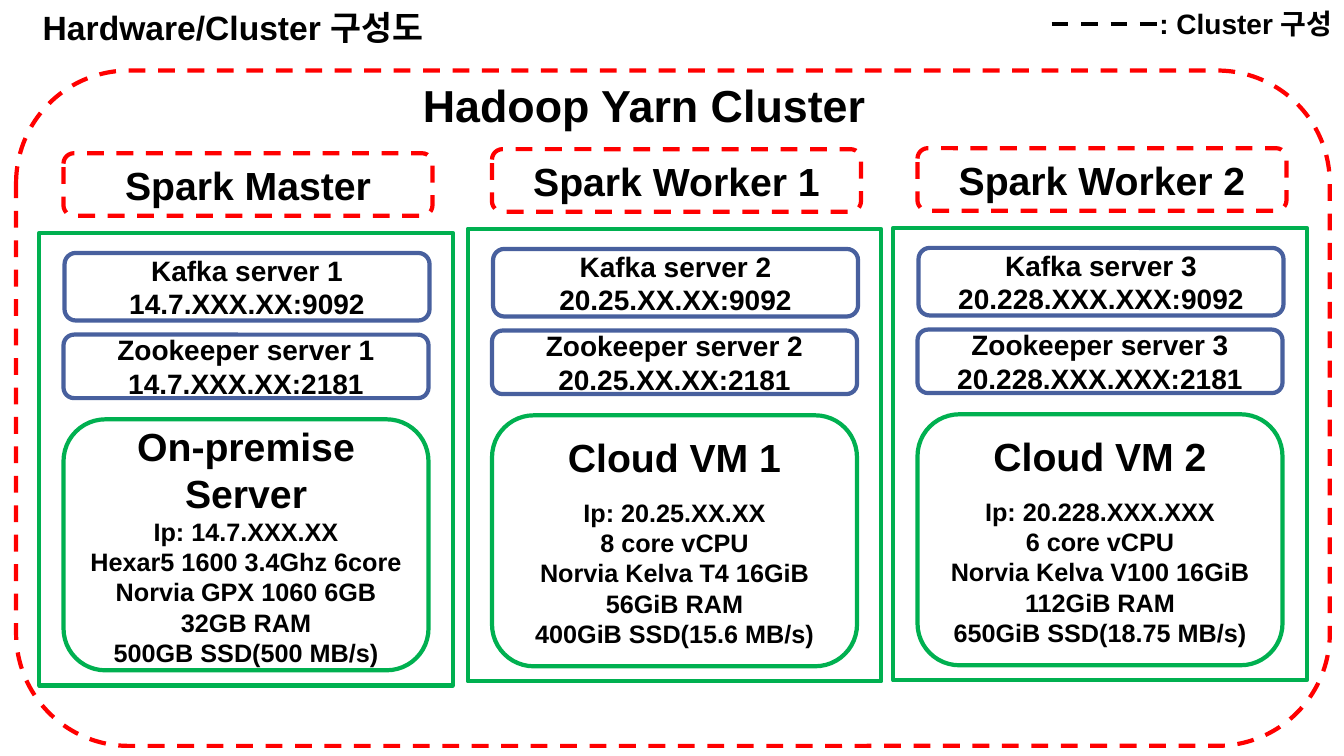
from lxml.etree import SubElement
from pptx import Presentation
from pptx.dml.color import RGBColor
from pptx.enum.dml import MSO_LINE
from pptx.enum.shapes import MSO_CONNECTOR, MSO_SHAPE
from pptx.enum.text import MSO_ANCHOR, PP_ALIGN
from pptx.oxml.ns import qn
from pptx.util import Emu, Pt

PX = 9144  # 100 px to the inch
BLACK = RGBColor(0, 0, 0)
RED = RGBColor(0xFF, 0, 0)
GREEN = RGBColor(0, 0xB0, 0x50)
BLUE = RGBColor(0x48, 0x60, 0x9E)
LINE_WIDTH = Pt(3)

# left, top, role, address, machine, specification
NODES = [
    (39, 231, "Spark Master", "14.7.XXX.XX", "On-premise Server",
     ["Hexar5 1600 3.4Ghz 6core", "Norvia GPX 1060 6GB", "32GB RAM",
      "500GB SSD(500 MB/s)"]),
    (464, 227, "Spark Worker 1", "20.25.XX.XX", "Cloud VM 1",
     ["8 core vCPU", "Norvia Kelva T4 16GiB", "56GiB RAM",
      "400GiB SSD(15.6 MB/s)"]),
    (886, 226, "Spark Worker 2", "20.228.XXX.XXX", "Cloud VM 2",
     ["6 core vCPU", "Norvia Kelva V100 16GiB", "112GiB RAM",
      "650GiB SSD(18.75 MB/s)"]),
]


def px(*lengths):
    return [Emu(length * PX) for length in lengths]


def write(shape, lines, align=PP_ALIGN.CENTER, **frame_format):
    """Fill a shape with (text, size, space before) lines."""
    frame = shape.text_frame
    for name, value in {"word_wrap": True, **frame_format}.items():
        setattr(frame, name, value)
    for index, (text, size, gap) in enumerate(lines):
        para = frame.add_paragraph() if index else frame.paragraphs[0]
        para.alignment = align
        para.space_before = Pt(gap)
        span = para.add_run()
        span.text = text
        span.font.color.rgb = BLACK
        for name, value in {"name": "Arial", "size": Pt(size), "bold": True}.items():
            setattr(span.font, name, value)


def add_box(shapes, bounds, color, lines=(), kind=MSO_SHAPE.ROUNDED_RECTANGLE, dash=None):
    box = shapes.add_shape(kind, *px(*bounds))
    box.shadow.inherit = False
    box.fill.background()
    box.line.color.rgb = color
    for name, value in {"width": LINE_WIDTH, "dash_style": dash}.items():
        setattr(box.line, name, value)
    if lines:
        write(box, lines, vertical_anchor=MSO_ANCHOR.MIDDLE)


def add_label(shapes, bounds, text, size, **text_format):
    label = shapes.add_textbox(*px(*bounds))
    write(label, [(text, size, 0)], **text_format)
    return label


def add_dashed_line(shapes, *ends):
    line = shapes.add_connector(MSO_CONNECTOR.STRAIGHT, *px(*ends))
    line.line.color.rgb = BLACK
    line.line.width = LINE_WIDTH
    line.line.dash_style = MSO_LINE.DASH
    SubElement(line._element.spPr, qn("a:effectLst"))


def add_node(shapes, number, left, top, role, address, machine, specification):
    """Draw the role box and, below it, the grouped server with its services."""
    inner = left + 24
    add_box(shapes, (inner, top - 79, 366, 62), RED, [(role, 28, 0)], dash=MSO_LINE.DASH)
    server = shapes.add_group_shape().shapes
    add_box(server, (left, top, 410, 449), GREEN, kind=MSO_SHAPE.RECTANGLE)
    gap = 12 if number > 1 else 0
    add_box(server, (inner, top + 185, 362, 249), GREEN,
            [(machine, 28, 0), (f"Ip: {address}", 18, gap)]
            + [(item, 18, 0) for item in specification])
    for service, port, x, y, height in (("Zookeeper", 2181, inner, top + 101, 63),
                                        ("Kafka", 9092, inner + 1, top + 20, 67)):
        add_box(server, (x, y, 362, height), BLUE,
                [(f"{service} server {number}", 20, 0), (f"{address}:{port}", 20, 0)])


def main():
    deck = Presentation()
    deck.slide_width, deck.slide_height = px(1333, 750)
    page = deck.slides.add_slide(deck.slide_layouts[6])
    shapes = page.shapes

    add_box(shapes, (16, 70, 1303, 670), RED, dash=MSO_LINE.DASH)
    add_label(shapes, (363, 72, 552, 64), "Hadoop Yarn Cluster", 32)
    for number, node in enumerate(NODES, 1):
        add_node(shapes, number, *node)

    no_margins = {f"margin_{side}": 0 for side in ("left", "top", "right", "bottom")}
    title = add_label(shapes, (32, 10, 398, 39), "Hardware/Cluster 구성도", 24,
                      vertical_anchor=MSO_ANCHOR.MIDDLE, **no_margins)
    title.text_frame.paragraphs[0].line_spacing = 0.9
    add_dashed_line(shapes, 1043, 24, 1154, 24)
    add_label(shapes, (1140, 2, 203, 44), ": Cluster 구성", 20, align=PP_ALIGN.LEFT)

    deck.save("out.pptx")


if __name__ == "__main__":
    main()
